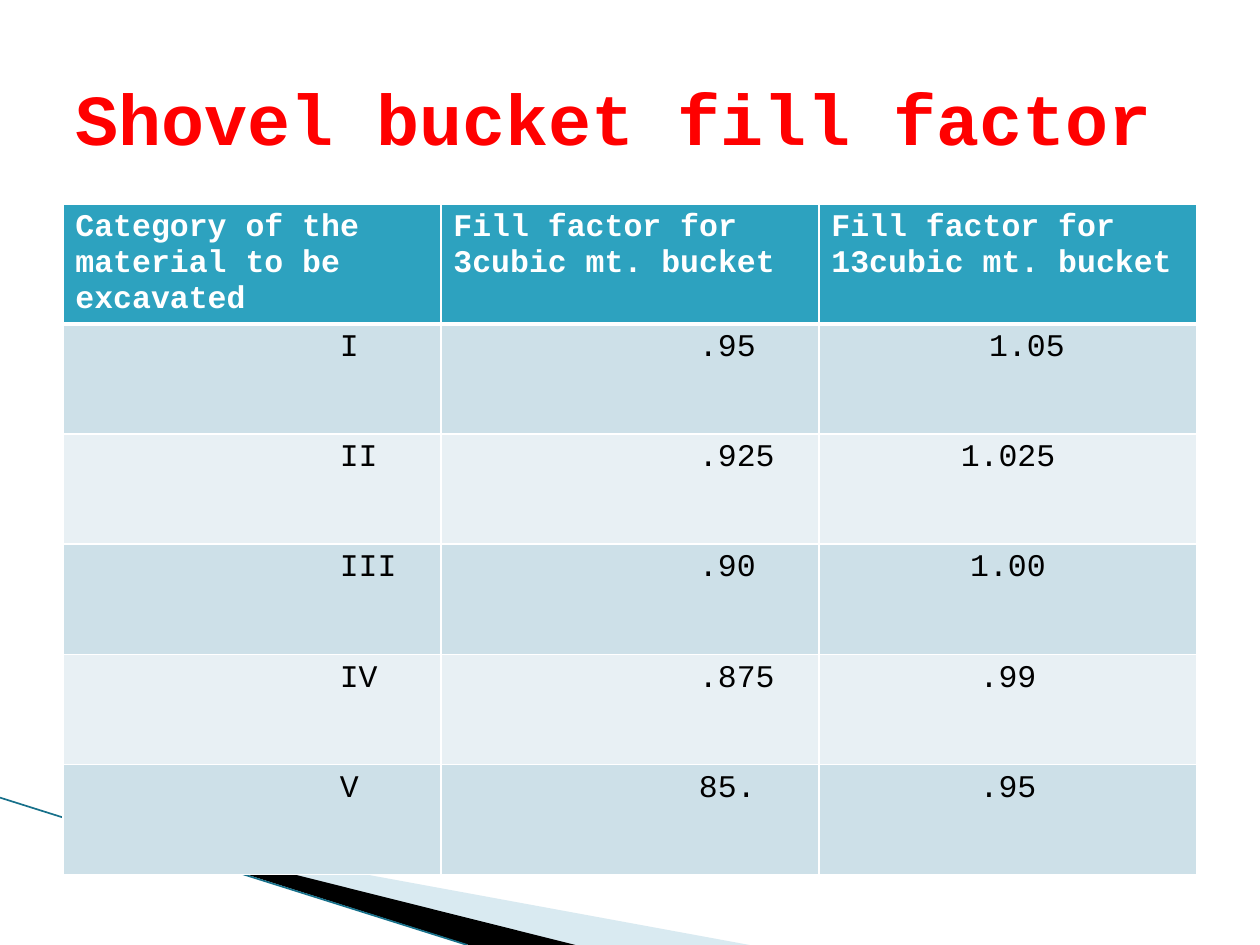
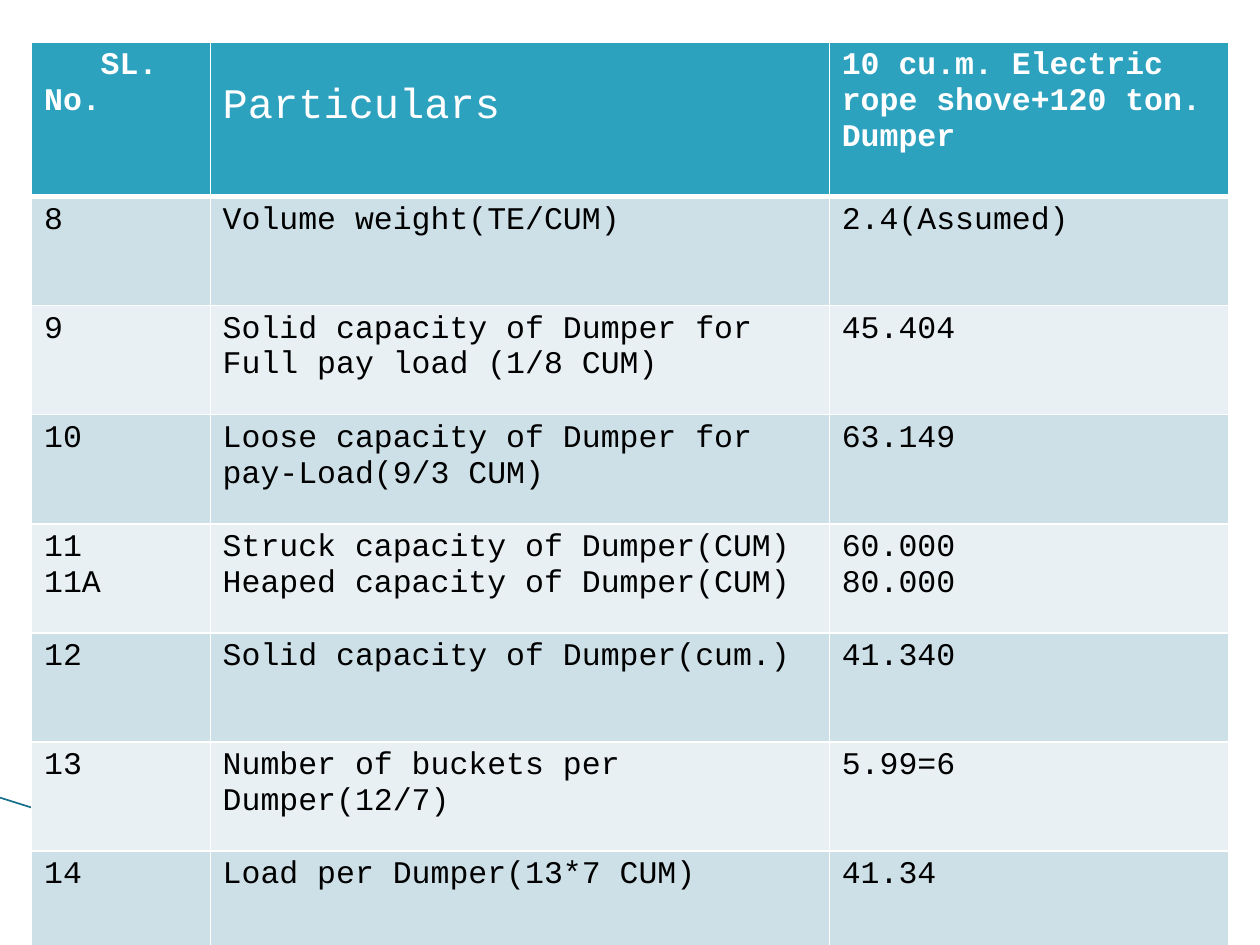
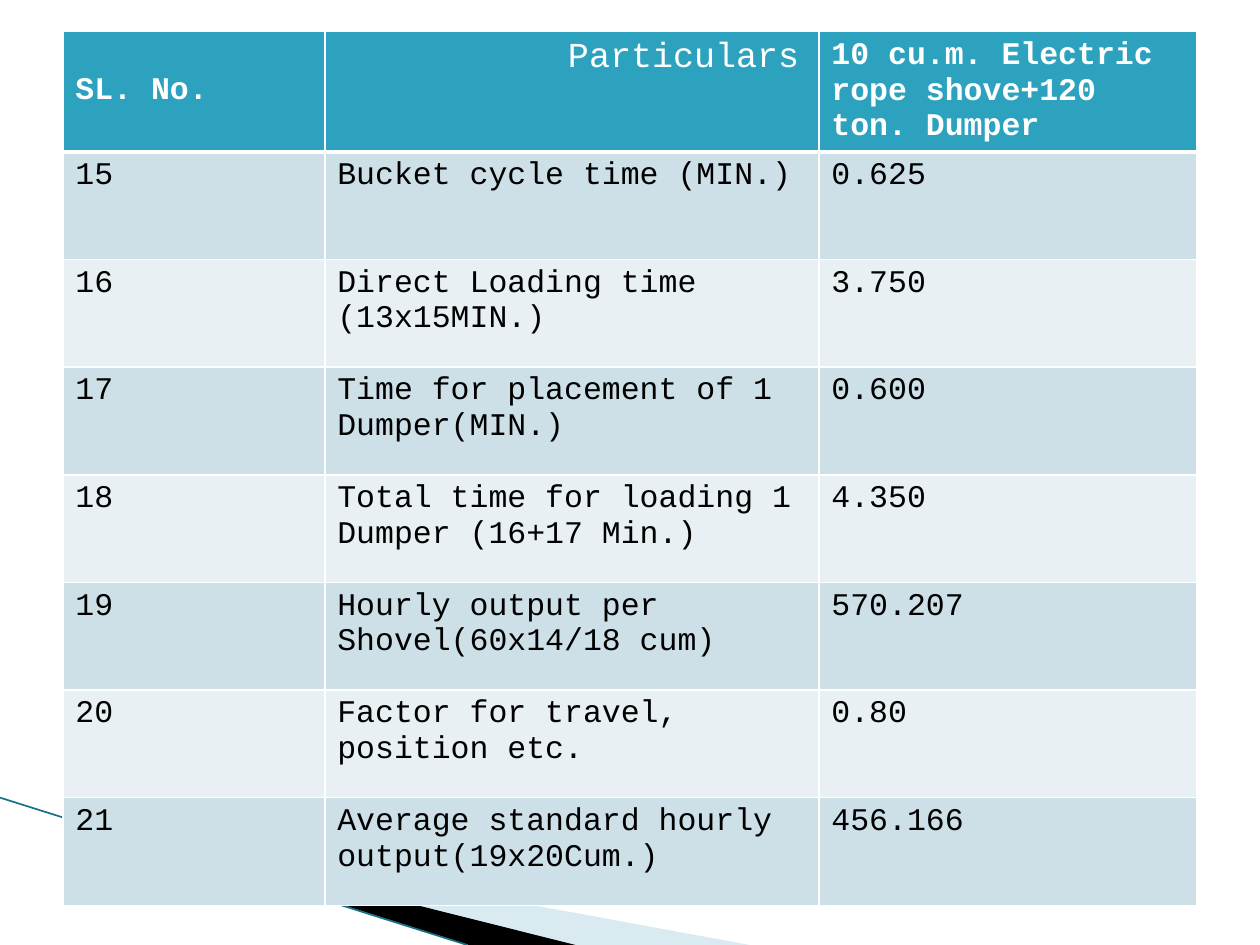
from dataclasses import dataclass

from pptx import Presentation
from pptx import util as u
from pptx.dml.color import RGBColor
from pptx.enum import shapes, text
from pptx.oxml import parse_xml
from pptx.oxml.ns import nsdecls, qn

HEADER_FILL = "2DA2BF"
ROW_FILLS = ("CDE0E8", "E8F0F4")
BORDER = "FFFFFF"
COST_HEADING = "10 cu.m. Electric rope shove+120 ton. Dumper"
LOWERED = 0.84


def colour(value):
    return RGBColor.from_string(value)


@dataclass
class Entry:
    """Text of a table cell; lengths are in centimetres."""
    words: str
    indent: float = 0
    first_line: float = 0
    top: float = 0.13
    size: int = 18
    bold: bool = False
    align: text.PP_ALIGN = text.PP_ALIGN.LEFT


class Deck:
    font = "Courier New"

    def __init__(self):
        self.deck = Presentation()
        self.deck.slide_width = u.Cm(25.4)
        self.deck.slide_height = u.Cm(19.05)
        self.page = None

    def add_page(self):
        self.page = self.deck.slides.add_slide(self.deck.slide_layouts[6])
        self.band([(1.4, 16.53), (15.11, 19.05), (11.58, 19.05)], "A0CBDC", 40)
        self.band([(1.35, 16.48), (11.6, 19.05), (9.45, 19.05)], "000000")
        self.line((0, 16.08), (9.42, 19.05), "17708A", 0.95)

    def band(self, points, fill, opacity=100):
        corners = [(u.Cm(x), u.Cm(y)) for x, y in points]
        builder = self.page.shapes.build_freeform(*corners[0])
        builder.add_line_segments(corners[1:], close=True)
        shape = builder.convert_to_shape()
        shape.shadow.inherit = False
        shape.line.fill.background()
        shape.fill.solid()
        shape.fill.fore_color.rgb = colour(fill)
        if opacity < 100:
            tint = shape._element.spPr.find(".//" + qn("a:srgbClr"))
            tint.append(parse_xml(
                f'<a:alpha {nsdecls("a")} val="{opacity * 1000}"/>'))

    def line(self, start, end, stroke, width):
        ends = [u.Cm(length) for length in (*start, *end)]
        line = self.page.shapes.add_connector(shapes.MSO_CONNECTOR.STRAIGHT, *ends)
        line.line.color.rgb = colour(stroke)
        line.line.width = u.Pt(width)
        line._element.spPr.append(parse_xml(f'<a:effectLst {nsdecls("a")}/>'))

    def add_span(self, para, words, size, ink, bold):
        span = para.add_run()
        span.text = words
        span.font.name = self.font
        span.font.size = u.Pt(size)
        span.font.bold = bold
        span.font.color.rgb = colour(ink)

    def title(self, words):
        box = self.page.shapes.add_textbox(
            u.Cm(1.27), u.Cm(0.76), u.Cm(22.86), u.Cm(3.18))
        frame = box.text_frame
        frame.word_wrap = True
        frame.vertical_anchor = text.MSO_ANCHOR.MIDDLE
        self.add_span(frame.paragraphs[0], words, 41, "FF0000", True)

    def cell(self, cell, entry, row):
        """Fill one cell; a thick rule parts the header from the rows."""
        properties = cell._tc.get_or_add_tcPr()
        thick = {"T": row == 1, "B": row == 0}
        for side in "LRTB":
            width = u.Pt(3 if thick.get(side) else 1)
            properties.append(parse_xml(
                f'<a:ln{side} {nsdecls("a")} w="{width}"><a:solidFill>'
                f'<a:srgbClr val="{BORDER}"/></a:solidFill></a:ln{side}>'))
        cell.fill.solid()
        cell.fill.fore_color.rgb = colour(
            ROW_FILLS[(row - 1) % 2] if row else HEADER_FILL)
        cell.margin_left = cell.margin_right = u.Cm(0.25)
        cell.margin_top, cell.margin_bottom = u.Cm(entry.top), u.Cm(0.13)
        for index, words in enumerate(entry.words.split("\n")):
            frame = cell.text_frame
            para = frame.add_paragraph() if index else frame.paragraphs[0]
            para.alignment = entry.align
            layout = para._p.get_or_add_pPr()
            layout.set("marL", str(u.Cm(entry.indent)))
            layout.set("indent", str(u.Cm(entry.first_line)))
            self.add_span(para, words, entry.size,
                          "000000" if row else "FFFFFF", entry.bold)

    def table(self, left, top, widths, header_height, row_height, header, rows):
        lines = [header, *rows]
        heights = [header_height] + [row_height] * len(rows)
        table = self.page.shapes.add_table(
            len(lines), len(widths), u.Cm(left), u.Cm(top),
            u.Cm(sum(widths)), u.Cm(sum(heights))).table
        table.horz_banding = False
        for column, width in zip(table.columns, widths):
            column.width = u.Cm(width)
        for row, (entries, height) in enumerate(zip(lines, heights)):
            table.rows[row].height = u.Cm(height)
            for column, entry in enumerate(entries):
                if isinstance(entry, str):
                    entry = Entry(entry, bold=row == 0)
                self.cell(table.cell(row, column), entry, row)


def fill_factor_page(deck):
    deck.add_page()
    factors = [
        ("I", ".95", "1.05"),
        ("II", ".925", "1.025"),
        ("III", ".90", "1.00"),
        ("IV", ".875", ".99"),
        ("V", "85.", ".95"),
    ]
    rows = [
        (Entry(category, indent=5.33),
         Entry(small, indent=4.95),
         Entry(large, indent=0.76 if category == "I" else 0,
               align=text.PP_ALIGN.CENTER))
        for category, small, large in factors
    ]
    header = ("Category of the material to be excavated",
              "Fill factor for 3cubic mt. bucket",
              "Fill factor for 13cubic mt. bucket")
    deck.table(1.27, 4.11, [7.62] * 3, 2.4, 2.22, header, rows)
    deck.title("Shovel bucket fill factor")


def capacity_page(deck):
    deck.add_page()
    header = (Entry("SL. No.", first_line=1.14, bold=True),
              Entry("Particulars", top=LOWERED, size=24),
              COST_HEADING)
    rows = [
        ("8", "Volume weight(TE/CUM)", "2.4(Assumed)"),
        ("9", "Solid capacity of Dumper for Full pay load (1/8 CUM)", "45.404"),
        ("10", "Loose capacity of Dumper for pay-Load(9/3 CUM)", "63.149"),
        ("11\n11A",
         "Struck capacity of Dumper(CUM)\nHeaped capacity of Dumper(CUM)",
         "60.000\n80.000"),
        ("12", "Solid capacity of Dumper(cum.)", "41.340"),
        ("13", "Number of buckets per Dumper(12/7)", "5.99=6"),
        ("14", "Load per Dumper(13*7 CUM)", "41.34"),
    ]
    deck.table(0.64, 0.85, [3.6, 12.48, 8.05], 3.11, 2.2, header, rows)


def output_page(deck):
    deck.add_page()
    header = (Entry("SL. No.", top=LOWERED, bold=True),
              Entry("Particulars", first_line=4.65, size=20),
              COST_HEADING)
    rows = [
        ("15", "Bucket cycle time (MIN.)", "0.625"),
        ("16", "Direct Loading time (13x15MIN.)", "3.750"),
        ("17", "Time for placement of 1 Dumper(MIN.)", "0.600"),
        ("18", "Total time for loading 1 Dumper (16+17 Min.)", "4.350"),
        ("19", "Hourly output per Shovel(60x14/18 cum)", "570.207"),
        ("20", "Factor for travel, position etc.", "0.80"),
        ("21", "Average standard hourly output(19x20Cum.)", "456.166"),
    ]
    deck.table(1.27, 0.64, [5.28, 9.96, 7.62], 2.4, 2.17, header, rows)


def main():
    deck = Deck()
    fill_factor_page(deck)
    capacity_page(deck)
    output_page(deck)
    deck.deck.save("out.pptx")


if __name__ == "__main__":
    main()
